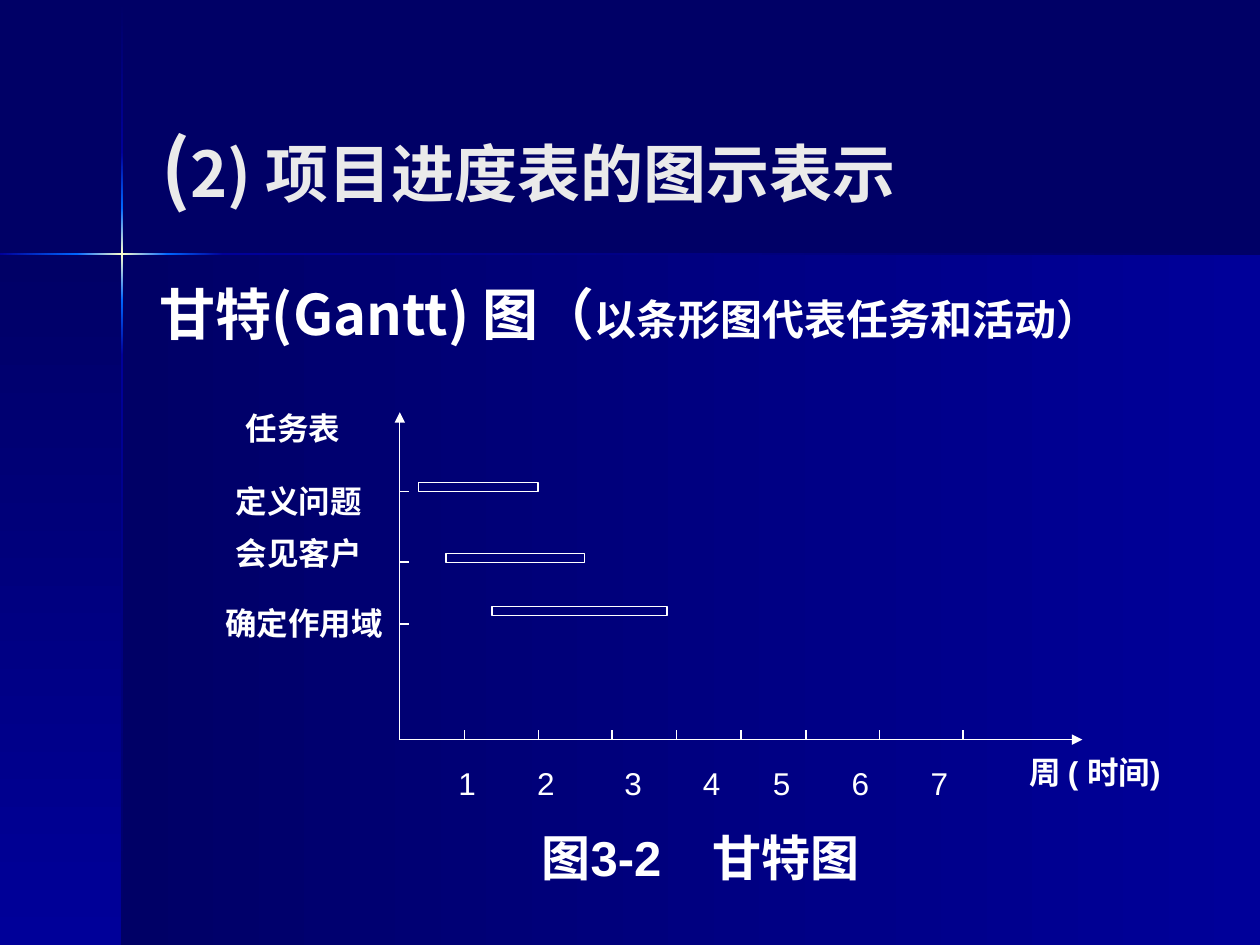
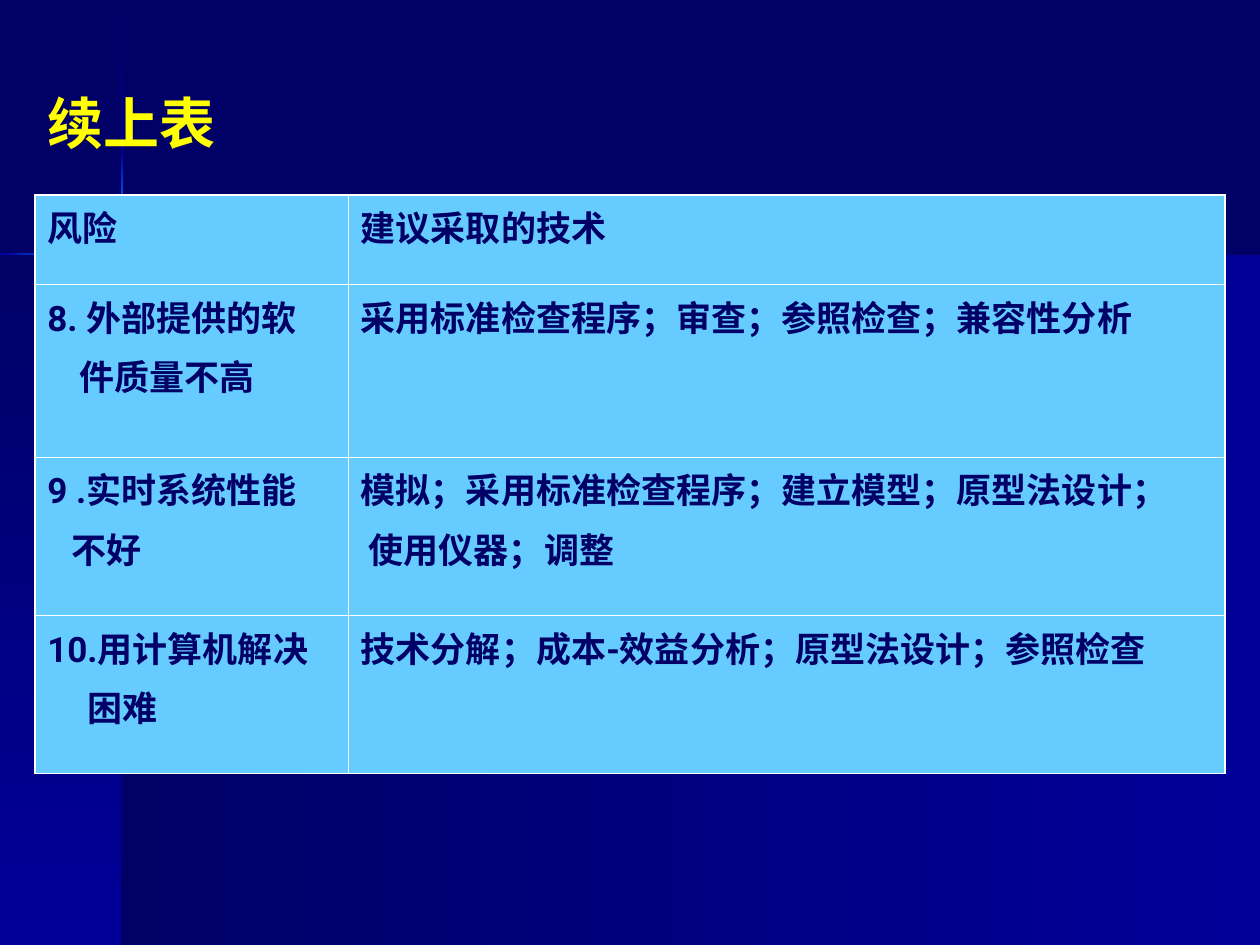
from lxml import etree
from pptx import Presentation
from pptx.dml.color import RGBColor
from pptx.enum.shapes import MSO_CONNECTOR, MSO_SHAPE
from pptx.enum.text import MSO_ANCHOR
from pptx.oxml.ns import qn
from pptx.util import Cm, Pt

RECTANGLE = MSO_SHAPE.RECTANGLE
STRAIGHT = MSO_CONNECTOR.STRAIGHT
MIDDLE = MSO_ANCHOR.MIDDLE
HORIZONTAL, VERTICAL = 0, 270

COLORS = {
    "navy": "000066",
    "royal": "000099",
    "azure": "0066FF",
    "cream": "FFFFCC",
    "white": "FFFFFF",
    "silver": "EAEAEA",
    "yellow": "FFFF00",
    "sky": "66CCFF",
}
CJK_FONT = "Noto Sans CJK SC"
HEADING = {"name": CJK_FONT, "bold": True}
LABEL = {"name": "Arial", "size": Pt(18), "bold": True}
CELL = {"name": "Roboto", "size": Pt(20), "bold": True}
LABEL_GAP = {"space_before": Pt(11.2)}
CELL_GAP = {"space_before": Pt(5)}

PAGE_WIDTH, PAGE_HEIGHT = 25.4, 19.05
BEAM_WIDTH, BEAM_LEFT, BEAM_TOP = 0.05, 2.44, 5.1
PANEL_LEFT, PANEL_TOP = 2.46, 5.13
VERTICAL_BEAM = [
    (0.03, "navy"), (3.07, "royal"), (4.19, "azure"), (5.12, "cream"),
    (6.05, "azure"), (7.16, "royal"), (PAGE_HEIGHT, "navy"),
]
HORIZONTAL_BEAM = [
    (0, "royal"), (1.55, "azure"), (2.46, "cream"),
    (3.38, "azure"), (4.5, "royal"), (PAGE_WIDTH, "navy"),
]

ORIGIN_X, ORIGIN_Y = 8.06, 14.91
TIME_AXIS_END, TASK_AXIS_END = 21.82, 8.31
TICK, BAR_HEIGHT = 0.19, 0.18
WEEK_TICKS = [9.37, 10.85, 12.34, 13.64, 14.94, 16.25, 17.73, 19.41]
WEEK_TABS = [1.59, 3.35, 4.93, 6.34, 7.93, 9.52]
TASKS = [
    ("定义问题", (4.5, 9.6, 3.73), (8.44, 9.73, 2.41), 9.91),
    ("会见客户", (4.5, 10.65, 3.61), (8.99, 11.16, 2.79), 11.33),
    ("确定作用域", (4.29, 12.05, 6.81), (9.92, 12.23, 3.53), 12.58),
]

COLUMN_WIDTHS = [6.32, 17.68]
ROW_HEIGHTS = [1.8, 3.48, 3.19, 3.19]
RISKS = [
    [[("风险", 0)], [("建议采取的技术", 0)]],
    [[("8. 外部提供的软", 0), ("件质量不高", 0.64)],
     [("采用标准检查程序；审查；参照检查；兼容性分析", 0)]],
    [[("9 .实时系统性能", 0), ("不好", 0.48)],
     [("模拟；采用标准检查程序；建立模型；原型法设计；", 0),
      ("使用仪器；调整", 0.16)]],
    [[("10.用计算机解决", 0), ("困难", 0.8)],
     [("技术分解；成本-效益分析；原型法设计；参照检查", 0)]],
]


def rgb(color):
    return RGBColor.from_string(COLORS[color])


def apply(target, formats):
    for name, value in formats.items():
        setattr(target, name, value)


def add_run(paragraph, text, font, color):
    run = paragraph.add_run()
    run.text = text
    apply(run.font, font)
    run.font.color.rgb = rgb(color)
    east_asian = etree.SubElement(run.font._element, qn("a:ea"))
    east_asian.set("typeface", CJK_FONT)


def set_tabs(paragraph, stops):
    tab_list = etree.SubElement(paragraph._p.get_or_add_pPr(), qn("a:tabLst"))
    for stop in stops:
        etree.SubElement(tab_list, qn("a:tab"), pos=str(Cm(stop)), algn="l")


def add_text(slide, place, runs, color="white", spacing=None, tabs=(), frame=None):
    text_frame = slide.shapes.add_textbox(*map(Cm, place)).text_frame
    apply(text_frame, {"word_wrap": True, **(frame or {})})
    paragraph = text_frame.paragraphs[0]
    apply(paragraph, spacing or {})
    if tabs:
        set_tabs(paragraph, tabs)
    for text, font in runs:
        add_run(paragraph, text, font, color)


def add_rectangle(slide, place):
    rectangle = slide.shapes.add_shape(RECTANGLE, *map(Cm, place))
    rectangle.shadow.inherit = False
    return rectangle


def add_gradient(slide, place, colors, direction):
    area = add_rectangle(slide, place)
    area.line.fill.background()
    area.fill.gradient()
    area.fill.gradient_angle = direction
    for stop, color in zip(area.fill.gradient_stops, colors):
        stop.color.rgb = rgb(color)


def add_bar(slide, left, top, width):
    bar = add_rectangle(slide, (left, top, width, BAR_HEIGHT))
    bar.fill.background()
    bar.line.color.rgb = rgb("white")
    bar.line.width = Pt(0.75)


def add_line(slide, start, end, arrow=False):
    line = slide.shapes.add_connector(STRAIGHT, *map(Cm, (*start, *end)))
    line.line.color.rgb = rgb("white")
    line.line.width = Pt(0.75)
    properties = line._element.spPr
    if arrow:
        outline = properties.find(qn("a:ln"))
        etree.SubElement(outline, qn("a:tailEnd"), type="triangle")
    etree.SubElement(properties, qn("a:effectLst"))


def add_base_slide(deck):
    slide = deck.slides.add_slide(deck.slide_layouts[6])
    slide.background.fill.solid()
    slide.background.fill.fore_color.rgb = rgb("navy")
    panel_height = PAGE_HEIGHT - PANEL_TOP
    panel_colors = ("navy", "royal")
    add_gradient(slide, (PANEL_LEFT, PANEL_TOP, PAGE_WIDTH - PANEL_LEFT, panel_height),
                 panel_colors, HORIZONTAL)
    add_gradient(slide, (0, PANEL_TOP, PANEL_LEFT, panel_height), panel_colors, VERTICAL)
    for (top, first), (bottom, last) in zip(VERTICAL_BEAM, VERTICAL_BEAM[1:]):
        add_gradient(slide, (BEAM_LEFT, top, BEAM_WIDTH, bottom - top),
                     (first, last), VERTICAL)
    for (left, first), (right, last) in zip(HORIZONTAL_BEAM, HORIZONTAL_BEAM[1:]):
        add_gradient(slide, (left, BEAM_TOP, right - left, BEAM_WIDTH),
                     (first, last), HORIZONTAL)
    return slide


def add_gantt(slide):
    origin = (ORIGIN_X, ORIGIN_Y)
    add_line(slide, origin, (TIME_AXIS_END, ORIGIN_Y), arrow=True)
    add_line(slide, origin, (ORIGIN_X, TASK_AXIS_END), arrow=True)
    for x in WEEK_TICKS:
        add_line(slide, (x, ORIGIN_Y - TICK), (x, ORIGIN_Y))
    weeks = "\t".join(str(week) for week in range(1, 8))
    add_text(slide, (8.99, 15.27, 11.71, 1.78), [(weeks, {**LABEL, "bold": False})],
             spacing=LABEL_GAP, tabs=WEEK_TABS)
    for task, (left, top, width), bar, tick_y in TASKS:
        add_bar(slide, *bar)
        add_line(slide, (ORIGIN_X, tick_y), (ORIGIN_X + TICK, tick_y))
        add_text(slide, (left, top, width, 1.02), [(task, LABEL)], spacing=LABEL_GAP)
    add_text(slide, (4.7, 8.13, 3.91, 1.02), [("任务表", LABEL)], spacing=LABEL_GAP)
    add_text(slide, (20.5, 15.06, 5.59, 1.02), [("周 ( 时间)", LABEL)], spacing=LABEL_GAP)
    add_text(slide, (10.67, 16.55, 7.6, 1.45),
             [("图3-2\t甘特图", {**LABEL, "size": Pt(28)})], tabs=[3.45])


def add_borders(cell, widths):
    properties = cell._tc.get_or_add_tcPr()
    for side, width in widths.items():
        border = etree.SubElement(properties, qn(f"a:ln{side}"), w=str(Pt(width)))
        fill = etree.SubElement(border, qn("a:solidFill"))
        etree.SubElement(fill, qn("a:srgbClr"), val=COLORS["white"])


def fill_cell(cell, lines):
    cell.fill.solid()
    cell.fill.fore_color.rgb = rgb("sky")
    for index, (text, indent) in enumerate(lines):
        frame = cell.text_frame
        paragraph = frame.add_paragraph() if index else frame.paragraphs[0]
        apply(paragraph, CELL_GAP)
        if indent:
            properties = paragraph._p.get_or_add_pPr()
            properties.set("marL", str(Cm(indent)))
            properties.set("indent", "0")
        add_run(paragraph, text, CELL, "navy")


def add_risk_table(slide):
    row_count, column_count = len(ROW_HEIGHTS), len(COLUMN_WIDTHS)
    place = (0.7, 3.93, sum(COLUMN_WIDTHS), sum(ROW_HEIGHTS))
    table = slide.shapes.add_table(row_count, column_count, *map(Cm, place)).table
    apply(table, {"first_row": False, "horz_banding": False})
    for column, width in zip(table.columns, COLUMN_WIDTHS):
        column.width = Cm(width)
    for row, height in zip(table.rows, ROW_HEIGHTS):
        row.height = Cm(height)
    for r, risk in enumerate(RISKS):
        for c, lines in enumerate(risk):
            outer = {"L": c == 0, "R": c == column_count - 1,
                     "T": r == 0, "B": r == row_count - 1}
            widths = {side: 1.08 if edge else 0.45 for side, edge in outer.items()}
            add_borders(table.cell(r, c), widths)
            fill_cell(table.cell(r, c), lines)


def main():
    deck = Presentation()
    apply(deck, {"slide_width": Cm(PAGE_WIDTH), "slide_height": Cm(PAGE_HEIGHT)})

    gantt_slide = add_base_slide(deck)
    add_text(gantt_slide, (2.29, 1.32, 21.41, 4.09),
             [("(", {**HEADING, "size": Pt(44)}),
              ("2) 项目进度表的图示表示", {**HEADING, "size": Pt(36)})],
             color="silver",
             frame={"vertical_anchor": MIDDLE, "margin_left": Cm(0.96)})
    add_text(gantt_slide, (2.97, 5.51, 20.96, 2),
             [("甘特(Gantt) 图（", {**HEADING, "size": Pt(32)}),
              ("以条形图代表任务和活动）", {**HEADING, "size": Pt(24)})],
             spacing={"space_before": Pt(6)})
    add_gantt(gantt_slide)

    risk_slide = add_base_slide(deck)
    add_text(risk_slide, (0.7, 1.66, 23.85, 1.8),
             [("续上表", {**HEADING, "size": Pt(32)})], color="yellow")
    add_risk_table(risk_slide)

    deck.save("out.pptx")


if __name__ == "__main__":
    main()
